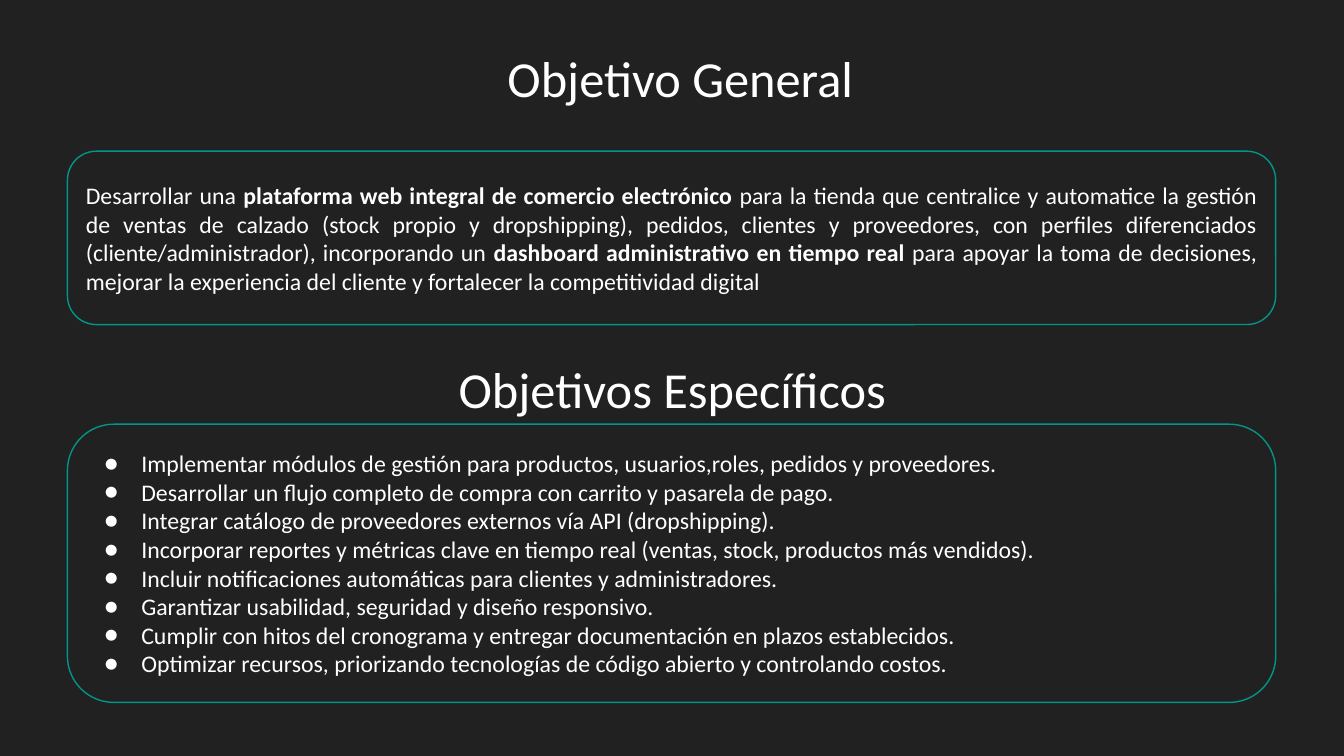
import pptx
import pptx.util
import pptx.dml.color
import pptx.enum.shapes
import pptx.enum.text
from lxml import etree

Cm = pptx.util.Cm
Align = pptx.enum.text.PP_ALIGN
WHITE, DARK, TEAL = "FFFFFF", "212121", "009688"


def paint(target, color):
    """Set a solid colour on a fill."""
    target.solid()
    target.fore_color.rgb = pptx.dml.color.RGBColor.from_string(color)


def write(para, text, size, bold=False):
    """Add one white run to a paragraph."""
    run = para.add_run()
    run.text = text
    run.font.name = "Calibri"
    run.font.size = pptx.util.Pt(size)
    run.font.bold = bold
    paint(run.font.fill, WHITE)


deck = pptx.Presentation()
deck.slide_width, deck.slide_height = Cm(33.87), Cm(19.05)
slide = deck.slides.add_slide(deck.slide_layouts[6])
paint(slide.background.fill, DARK)

# Rounded panels
frames = []
for top, height in [(3.81, 4.37), (10.69, 7.01)]:
    panel = slide.shapes.add_shape(
        pptx.enum.shapes.MSO_SHAPE.ROUNDED_RECTANGLE,
        Cm(1.7), Cm(top), Cm(30.45), Cm(height))
    panel.shadow.inherit = False
    paint(panel.fill, DARK)
    paint(panel.line.fill, TEAL)
    panel.line.width = pptx.util.Pt(1)
    frame = panel.text_frame
    frame.word_wrap = True
    frame.vertical_anchor = pptx.enum.text.MSO_ANCHOR.MIDDLE
    frames.append(frame)
general, goals = frames

# General objective
para = general.paragraphs[0]
para.alignment = Align.JUSTIFY
for text, bold in [
    ("Desarrollar una ", False),
    ("plataforma web integral de comercio electrónico", True),
    (" para la tienda que centralice y automatice la gestión de ventas de "
     "calzado (stock propio y dropshipping), pedidos, clientes y proveedores, "
     "con perfiles diferenciados (cliente/administrador), incorporando un ", False),
    ("dashboard administrativo en tiempo real", True),
    (" para apoyar la toma de decisiones, mejorar la experiencia del cliente "
     "y fortalecer la competitividad digital", False),
]:
    write(para, text, 17, bold)

# Specific objectives
items = [
    "Implementar módulos de gestión para productos, usuarios,roles, pedidos y proveedores.",
    "Desarrollar un flujo completo de compra con carrito y pasarela de pago.",
    "Integrar catálogo de proveedores externos vía API (dropshipping).",
    "Incorporar reportes y métricas clave en tiempo real (ventas, stock, productos más vendidos).",
    "Incluir notificaciones automáticas para clientes y administradores.",
    "Garantizar usabilidad, seguridad y diseño responsivo.",
    "Cumplir con hitos del cronograma y entregar documentación en plazos establecidos.",
    "Optimizar recursos, priorizando tecnologías de código abierto y controlando costos.",
]
space = "{http://schemas.openxmlformats.org/drawingml/2006/main}"
for index, item in enumerate(items):
    para = goals.add_paragraph() if index else goals.paragraphs[0]
    para.alignment = Align.LEFT
    props = para._p.get_or_add_pPr()
    props.set("marL", str(Cm(1.27)))
    props.set("indent", str(-Cm(0.94)))
    tint = etree.SubElement(props, space + "buClr")
    etree.SubElement(tint, space + "srgbClr", val=WHITE)
    etree.SubElement(props, space + "buFont", typeface="Calibri")
    etree.SubElement(props, space + "buChar", char="●")
    write(para, item, 17)

# Headings
for left, top, text in [(0.56, 1.07, "Objetivo General"),
                        (0.36, 8.89, "Objetivos Específicos")]:
    box = slide.shapes.add_textbox(Cm(left), Cm(top), Cm(33.17), Cm(1.8))
    frame = box.text_frame
    frame.word_wrap = True
    frame.auto_size = pptx.enum.text.MSO_AUTO_SIZE.SHAPE_TO_FIT_TEXT
    para = frame.paragraphs[0]
    para.alignment = Align.CENTER
    write(para, text, 36)

deck.save("out.pptx")
